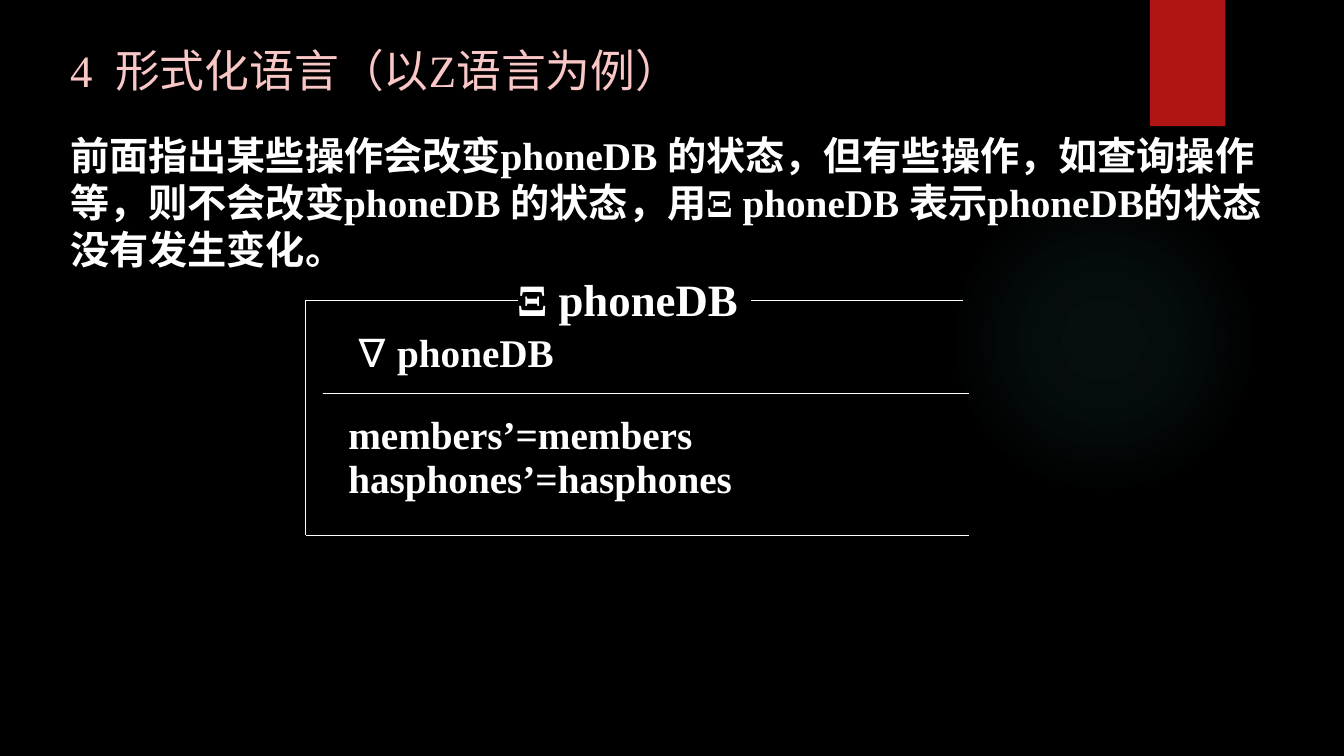
import pptx
import pptx.util
import pptx.dml.color
import pptx.enum.shapes
import pptx.oxml
import pptx.oxml.ns

Cm = pptx.util.Cm
Pt = pptx.util.Pt
SHAPE = pptx.enum.shapes.MSO_SHAPE
WHITE = "FFFFFF"
NS = pptx.oxml.ns.nsdecls("a")


def rgb(value):
    return pptx.dml.color.RGBColor.from_string(value)


class Board:
    font = {"name": "Times New Roman", "size": Pt(28), "bold": True}

    def __init__(self, prs, background):
        self.s = prs.slides.add_slide(prs.slide_layouts[6])
        fill = self.s.background.fill
        fill.solid()
        fill.fore_color.rgb = rgb(background)

    def shape(self, kind, box, color):
        sp = self.s.shapes.add_shape(kind, *map(Cm, box))
        sp.shadow.inherit = False
        sp.line.fill.background()
        sp.fill.solid()
        sp.fill.fore_color.rgb = rgb(color)
        return sp

    def glow(self, box, color, stops):
        sp = self.shape(SHAPE.OVAL, box, color)
        marks = "".join(
            f'<a:gs pos="{pos * 1000}"><a:srgbClr val="{color}">'
            f'<a:alpha val="{alpha * 1000}"/></a:srgbClr></a:gs>'
            for pos, alpha in stops)
        grad = pptx.oxml.parse_xml(
            f'<a:gradFill {NS} rotWithShape="1"><a:gsLst>{marks}</a:gsLst><a:path path="circle">'
            '<a:fillToRect l="50000" t="50000" r="50000" b="50000"/></a:path></a:gradFill>')
        spPr = sp.fill._xPr
        spPr.replace(spPr.find(pptx.oxml.ns.qn("a:solidFill")), grad)

    def ribbon(self, box, color):
        sp = self.shape(SHAPE.RECTANGLE, box, color)
        effects = sp._element.spPr.find(pptx.oxml.ns.qn("a:effectLst"))
        effects.append(pptx.oxml.parse_xml(
            f'<a:outerShdw {NS} blurRad="{Pt(3)}" dist="{Pt(2)}" dir="5400000" rotWithShape="0">'
            '<a:srgbClr val="000000"><a:alpha val="45000"/></a:srgbClr></a:outerShdw>'))

    def line(self, *ends):
        cn = self.s.shapes.add_connector(
            pptx.enum.shapes.MSO_CONNECTOR.STRAIGHT, *map(Cm, ends))
        cn.line.color.rgb = rgb(WHITE)
        cn.line.width = Pt(0.75)
        cn._element.spPr.append(pptx.oxml.parse_xml(f"<a:effectLst {NS}/>"))

    def text(self, box, paragraphs, color=WHITE, spacing=None, gap=None, **style):
        tf = self.s.shapes.add_textbox(*map(Cm, box)).text_frame
        tf.word_wrap = True
        for i, runs in enumerate(paragraphs):
            p = tf.add_paragraph() if i else tf.paragraphs[0]
            if spacing:
                p.line_spacing = spacing
            if i and gap:
                p.space_before = gap
            for words, extra in runs:
                r = p.add_run()
                r.text = words
                for key, value in {**self.font, **style, **extra}.items():
                    setattr(r.font, key, value)
                r.font.color.rgb = rgb(color)


def main():
    prs = pptx.Presentation()
    prs.slide_width, prs.slide_height = Cm(33.87), Cm(19.05)
    board = Board(prs, "000000")
    large = {"size": Pt(32)}

    board.glow((23.9, 4.65, 7.82, 7.82), "50B9C1", [(0, 7), (36, 6), (69, 0), (100, 0)])
    board.ribbon((28.98, 0, 1.9, 3.18), "B01513")
    board.text((1.52, 3.18, 31.09, 3.84), [[(
        "前面指出某些操作会改变phoneDB 的状态，但有些操作，如查询操作等，"
        "则不会改变phoneDB 的状态，用Ξ phoneDB 表示phoneDB的状态没有发生变化。", {})]])

    left, right, top, bottom = 7.7, 24.43, 7.57, 13.49
    board.line(left, top, left, bottom)
    for start in (left, 18.92):
        board.line(start, top, start + 5.36, top)
    board.line(8.13, 9.91, right, 9.91)
    board.line(left, bottom, right, bottom)

    board.text((12.78, 6.73, 6.88, 1.6), [[("Ξ phoneDB", large)]])
    board.text((8.76, 8, 16.1, 1.6), [[("∇", large), (" phoneDB", {})]])
    board.text((8.53, 10.74, 16.33, 2.03),
               [[(f"{name}’={name}", {})] for name in ("members", "hasphones")],
               spacing=0.5, gap=Pt(14.5))
    board.text((1.52, 0.94, 28.4, 2.44), [[("4  形式化语言（以Z语言为例）", large)]],
               color="F9C7C6", bold=False)
    prs.save("out.pptx")


if __name__ == "__main__":
    main()
